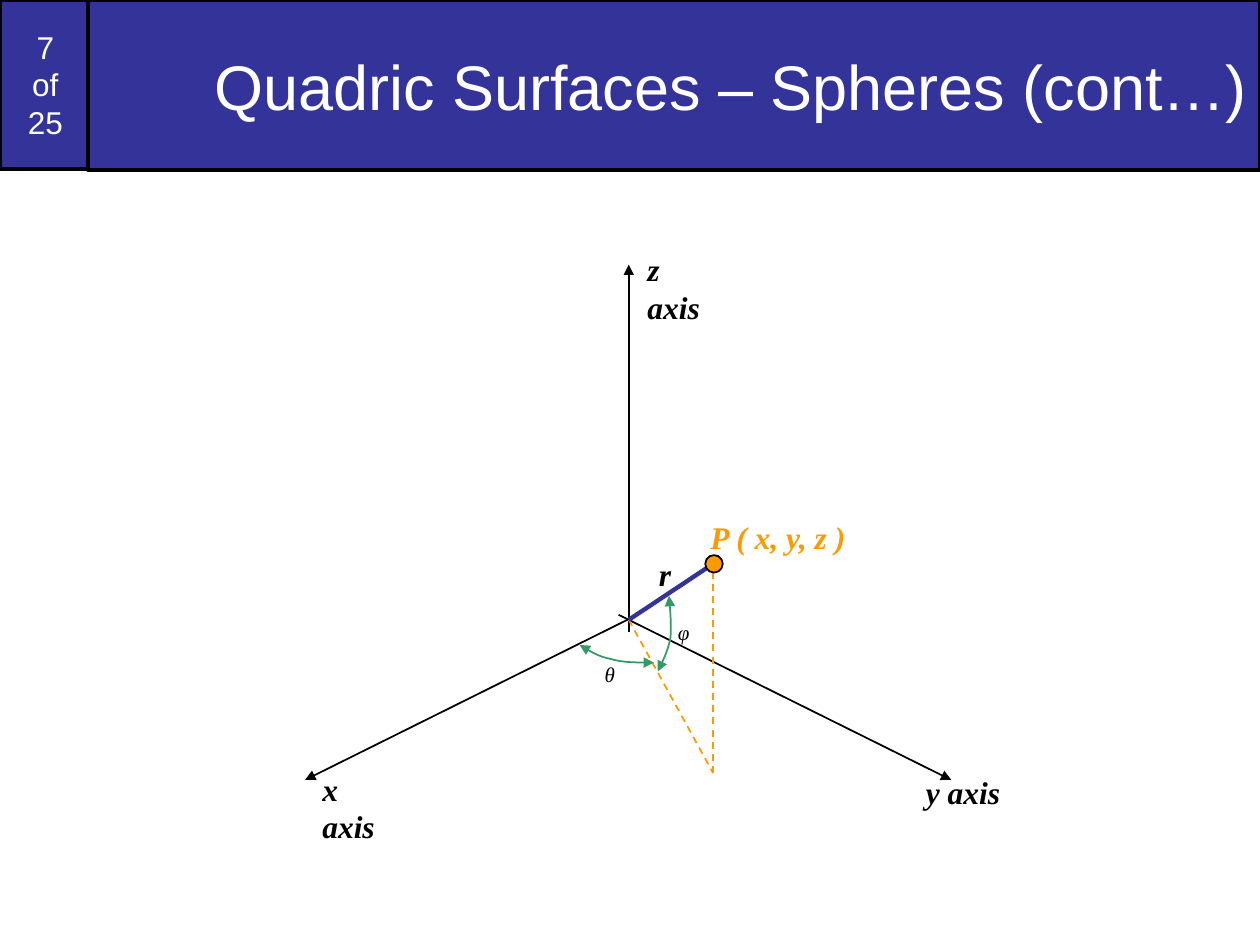
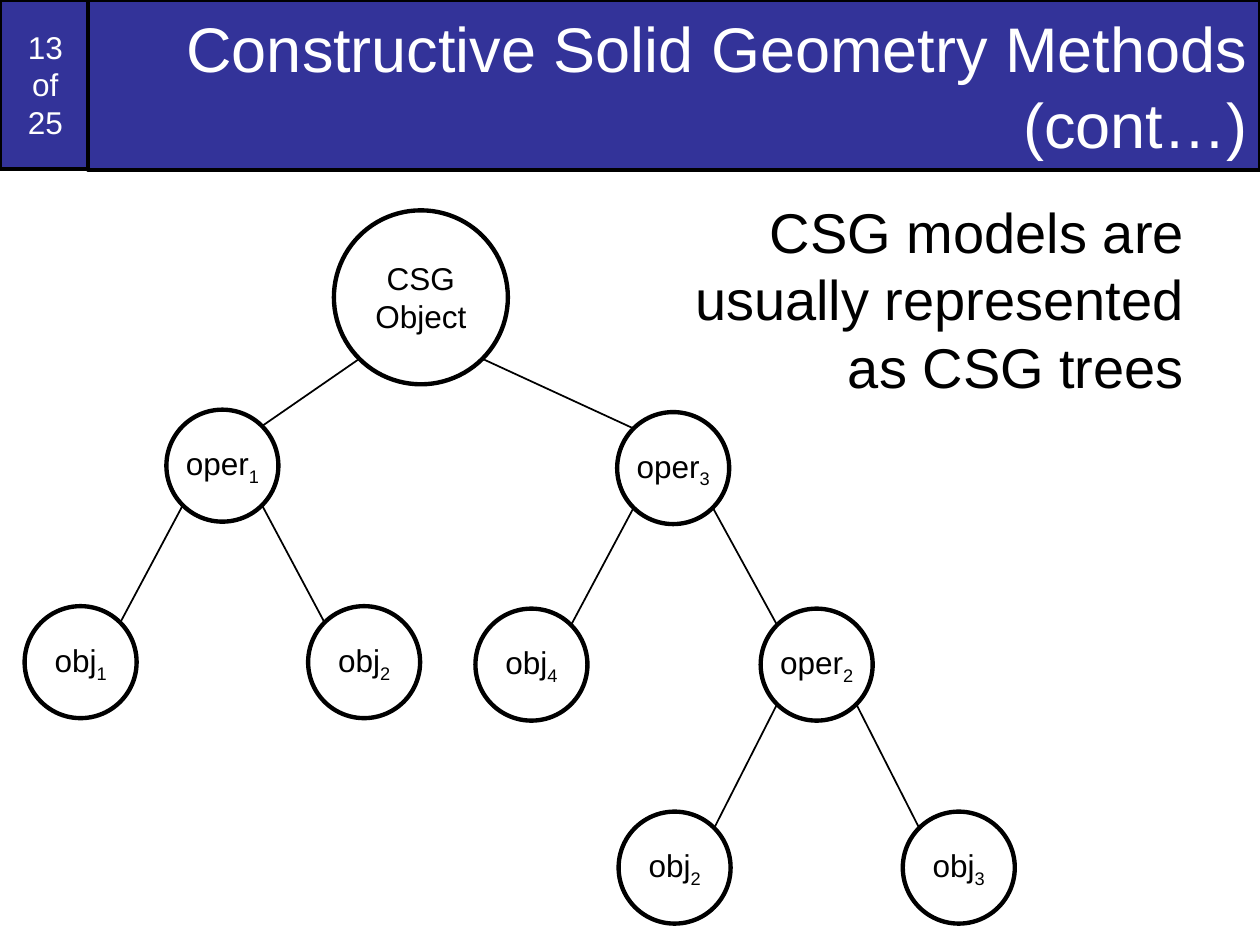
from pptx import Presentation
from pptx.dml.color import RGBColor
from pptx.enum.dml import MSO_LINE
from pptx.enum.shapes import MSO_CONNECTOR, MSO_SHAPE
from pptx.enum.text import MSO_ANCHOR, MSO_AUTO_SIZE, PP_ALIGN
from pptx.oxml.ns import qn
from pptx.util import Pt
from lxml import etree

MIDDLE, TOP = MSO_ANCHOR.MIDDLE, MSO_ANCHOR.TOP
LEFT, CENTER, RIGHT = PP_ALIGN.LEFT, PP_ALIGN.CENTER, PP_ALIGN.RIGHT
RECT, OVAL = MSO_SHAPE.RECTANGLE, MSO_SHAPE.OVAL
STRAIGHT, DASH = MSO_CONNECTOR.STRAIGHT, MSO_LINE.DASH
BLANK_TITLE, TITLE_BODY = 5, 1

NAVY, BLACK, WHITE = "333399", "000000", "FFFFFF"
ORANGE, GREEN = "FF9900", "339966"
SANS, SERIF = "Arial", "Times New Roman"
WIDE, HIGH = 720, 540
TOTAL = 25
DIAG = 0.5 ** 0.5  # where a 45 degree ray meets a unit circle


def rgb(code):
    return RGBColor.from_string(code)


def style(font, color=BLACK, **values):
    for key, value in values.items():
        setattr(font, key, value)
    font.color.rgb = rgb(color)


def place(shape, left, top, width, height):
    box = {"left": left, "top": top, "width": width, "height": height}
    for key, value in box.items():
        setattr(shape, key, Pt(value))


def stroke(shape, color, width):
    shape.line.color.rgb = rgb(color)
    shape.line.width = Pt(width)


def paint(shape, fill, width):
    shape.fill.solid()
    shape.fill.fore_color.rgb = rgb(fill)
    stroke(shape, BLACK, width)


def add_form(slide, kind, box, fill, width):
    form = slide.shapes.add_shape(kind, *map(Pt, box))
    form.shadow.inherit = False
    paint(form, fill, width)
    return form


def write(shape, text, size, align, color=BLACK, anchor=MIDDLE):
    """Fill a shape with one paragraph of sans text and return it."""
    frame = shape.text_frame
    frame.text = text
    frame.word_wrap = True
    frame.auto_size = MSO_AUTO_SIZE.NONE
    frame.vertical_anchor = anchor
    par = frame.paragraphs[0]
    par.alignment = align
    par.space_before = Pt(0)
    for run in par.runs:
        style(run.font, color, name=SANS, size=Pt(size))
    return par


def add_tips(shape, *ends):
    line = shape.line._get_or_add_ln()
    for end in ends:
        etree.SubElement(line, qn(f"a:{end}"), type="triangle")


def add_line(slide, start, end, color=BLACK, width=1):
    line = slide.shapes.add_connector(STRAIGHT, *map(Pt, (*start, *end)))
    etree.SubElement(line._element.spPr, qn("a:effectLst"))
    stroke(line, color, width)
    return line


def add_band(slide, number, text):
    """Page counter cell and title band along the top edge."""
    title = slide.shapes.title
    place(title, 50.4, 0, WIDE - 50.4, 97.2)
    paint(title, NAVY, 2)
    write(title, text, 36, RIGHT, WHITE)
    cell = add_form(slide, RECT, (0, 0, 51.8, 96.5), NAVY, 2)
    write(cell, f"{number}\vof\v{TOTAL}", 18, CENTER, WHITE)
    title._element.addprevious(cell._element)


def add_label(slide, left, top, width, text, size=18, color=BLACK, bold=True):
    label = slide.shapes.add_textbox(Pt(left), Pt(top), Pt(width), Pt(size * 1.6))
    frame = label.text_frame
    frame.word_wrap = False
    frame.text = text
    style(frame.paragraphs[0].runs[0].font, color, name=SERIF, size=Pt(size),
          bold=bold, italic=True)


def bezier(points, steps=8):
    """Points along a chain of cubic curves."""
    chain = [points[0]]
    for i in range(0, len(points) - 1, 3):
        for step in range(1, steps + 1):
            t = step / steps
            mix = ((1 - t) ** 3, 3 * t * (1 - t) ** 2, 3 * t * t * (1 - t), t ** 3)
            chain.append(tuple(sum(m * p[k] for m, p in zip(mix, points[i:i + 4]))
                               for k in (0, 1)))
    return chain


def add_arc(slide, points):
    first, *rest = [(Pt(x), Pt(y)) for x, y in bezier(points)]
    pen = slide.shapes.build_freeform(*first)
    pen.add_line_segments(rest, close=False)
    arc = pen.convert_to_shape()
    arc.shadow.inherit = False
    arc.fill.background()
    stroke(arc, GREEN, 1)
    add_tips(arc, "headEnd", "tailEnd")


AXES = [((0, 7.2), (0, -203)), ((-5.8, -2.9), (184.3, 91.5)),
        ((5, -2.9), (-185, 91.5))]
FOOT, POINT = (48.2, 87.5), (48.2, -32)
THETA = [(-28.1, 14.4), (-23, 17.3), (-18, 20.9), (-10.8, 22.3),
         (-3.6, 24.5), (5, 24.5), (14.4, 24.5)]
PHI = [(16.6, 29.5), (19.4, 23.8), (22.3, 18), (23.8, 10.8),
       (24.5, 3.6), (23.8, -5), (23, -13.7)]
NAMES = [(162.7, 84.2, 57, "y axis"), (3.6, -214.6, 55.5, "z axis"),
         (-182.2, 82.1, 57.6, "x axis"),
         (39.6, -61.9, 93, "P ( x, y, z )", 18, ORANGE),
         (-20.9, 20.2, 20, "θ", 12, BLACK, False),
         (20.9, -3.6, 21, "φ", 12, BLACK, False),
         (10.1, -40.3, 21, "r")]


def draw_axes(slide, left, top):
    """Axes, point and angles around an origin at left, top."""
    def at(point):
        return left + point[0], top + point[1]

    for start, end in AXES:
        add_tips(add_line(slide, at(start), at(end)), "tailEnd")
    for start, end in (((0, 0), FOOT), (FOOT, POINT)):
        add_line(slide, at(start), at(end), ORANGE).line.dash_style = DASH
    add_line(slide, at((0, 0)), at(POINT), NAVY, 2.5)
    dot_x, dot_y = at(POINT)
    add_form(slide, OVAL, (dot_x - 4.5, dot_y - 5, 10, 10), ORANGE, 1)
    for points in (THETA, PHI):
        add_arc(slide, [at(point) for point in points])
    for x, y, *rest in NAMES:
        add_label(slide, *at((x, y)), *rest)


# Each node: text, subscript, children as (step across, step down, node)
OPER2 = ("oper", "2", [(-81.2, 116, ("obj", "2", [])), (81.2, 116, ("obj", "3", []))])
OPER1 = ("oper", "1", [(-81, 112.3, ("obj", "1", [])), (81, 112.3, ("obj", "2", []))])
OPER3 = ("oper", "3", [(-81, 112.3, ("obj", "4", [])), (82, 112.3, OPER2)])
ROOT = ("CSG Object", "", [(-113.4, 96.2, OPER1), (144.2, 97.6, OPER3)])


def draw_tree(slide, x, y, node, radius=32):
    """Circle centred at x, y with its branches below."""
    text, sub, kids = node
    for across, down, kid in kids:
        side = 1 if across > 0 else -1
        end = draw_tree(slide, x + across, y + down, kid)
        add_line(slide, (x + side * radius * DIAG, y + radius * DIAG),
                 (end[0] - side * end[2] * DIAG, end[1] - end[2] * DIAG))
    ball = add_form(slide, OVAL, (x - radius, y - radius, 2 * radius, 2 * radius),
                    WHITE, 2.5)
    par = write(ball, text, 18, CENTER)
    if sub:
        for edge in ("left", "right", "top", "bottom"):
            setattr(ball.text_frame, f"margin_{edge}", 0)
        run = par.add_run()
        run.text = sub
        style(run.font, name=SANS, size=Pt(18))
        run._r.get_or_add_rPr().set("baseline", "-25000")
    return x, y, radius


def add_note(slide, box, text):
    body = slide.placeholders[1]
    place(body, *box)
    par = write(body, text, 32, RIGHT, anchor=TOP)
    props = par._p.get_or_add_pPr()
    for key in ("marL", "indent"):
        props.set(key, "0")
    etree.SubElement(props, qn("a:buNone"))


def main():
    deck = Presentation()
    deck.slide_width, deck.slide_height = Pt(WIDE), Pt(HIGH)

    sphere = deck.slides.add_slide(deck.slide_layouts[BLANK_TITLE])
    add_band(sphere, 7, "Quadric Surfaces – Spheres (cont…)")
    draw_axes(sphere, 359.3, 354.2)

    solid = deck.slides.add_slide(deck.slide_layouts[TITLE_BODY])
    add_band(solid, 13, "Constructive Solid Geometry Methods (cont…)")
    draw_tree(solid, 240.5, 169.9, ROOT, 49.7)
    add_note(solid, (376.6, 109.4, 307.4, 128.9),
             "CSG models are usually represented as CSG trees")

    deck.save("out.pptx")


if __name__ == "__main__":
    main()
